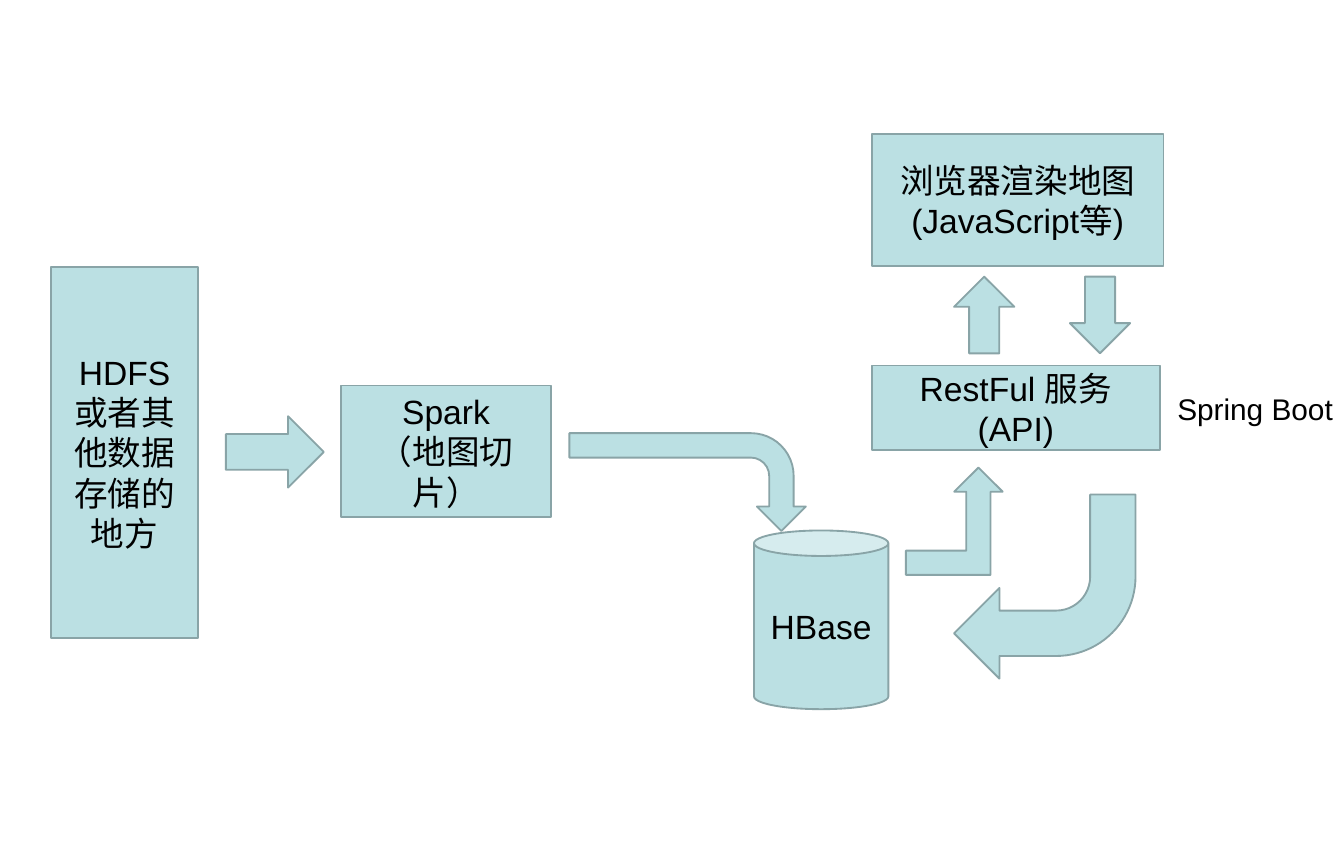
from dataclasses import dataclass

from pptx import Presentation
from pptx.dml.color import RGBColor
from pptx.enum.shapes import MSO_SHAPE as Preset
from pptx.enum.text import MSO_ANCHOR as Anchor, MSO_AUTO_SIZE as AutoSize, PP_ALIGN as Align
from pptx.util import Cm, Pt


@dataclass(frozen=True)
class Theme:
    """Hold the colours, font and sizes of the diagram."""
    fill: RGBColor = RGBColor(0xBB, 0xE0, 0xE3)
    line: RGBColor = RGBColor(0x89, 0xA4, 0xA7)
    text: RGBColor = RGBColor(0x00, 0x00, 0x00)
    font: str = "Arial"
    node_size: int = Pt(18)
    label_size: int = Pt(16)
    line_width: int = Pt(1)


THEME = Theme()


def write_text(box, lines, size, align):
    """Write one paragraph per line and format its runs."""
    frame = box.text_frame
    frame.text = "\n".join(lines)
    for para in frame.paragraphs:
        para.alignment = align
        for span in para.runs:
            span.font.name = THEME.font
            span.font.size = size
            span.font.color.rgb = THEME.text


def add_figure(page, preset, left, top, width, height):
    """Add a preset shape in the diagram's fill and outline."""
    figure = page.shapes.add_shape(preset, Cm(left), Cm(top), Cm(width), Cm(height))
    figure.shadow.inherit = False
    figure.fill.solid()
    figure.fill.fore_color.rgb = THEME.fill
    figure.line.color.rgb = THEME.line
    figure.line.width = THEME.line_width
    return figure


def add_node(page, preset, place, *lines):
    """Add a component with centred text."""
    node = add_figure(page, preset, *place)
    node.text_frame.word_wrap = True
    node.text_frame.vertical_anchor = Anchor.MIDDLE
    write_text(node, lines, THEME.node_size, Align.CENTER)
    return node


def add_arrow(page, preset, place, rotation=0):
    """Add a block arrow turned by the given degrees."""
    arrow = add_figure(page, preset, *place)
    arrow.rotation = rotation


def add_label(page, place, text):
    """Add a free label on one line."""
    label = page.shapes.add_textbox(*(Cm(length) for length in place))
    label.text_frame.word_wrap = False
    label.text_frame.auto_size = AutoSize.SHAPE_TO_FIT_TEXT
    write_text(label, [text], THEME.label_size, Align.LEFT)


def main():
    """Build the map tile service diagram."""
    deck = Presentation()
    deck.slide_width, deck.slide_height = Cm(25.4), Cm(15.9)
    page = deck.slides.add_slide(deck.slide_layouts[6])

    add_node(page, Preset.RECTANGLE, (0.97, 5.05, 2.77, 7.01), "HDFS", "或者其他数据存储的地方")
    add_node(page, Preset.RECTANGLE, (6.45, 7.29, 3.96, 2.49), "Spark", "（地图切片）")
    database = add_node(page, Preset.CAN, (14.25, 10.03, 2.54, 3.38), "HBase")
    database.adjustments[0] = 0.19
    add_node(page, Preset.RECTANGLE, (16.48, 2.54, 5.51, 2.49), "浏览器渲染地图", "(JavaScript等)")
    add_arrow(page, Preset.RIGHT_ARROW, (4.27, 7.87, 1.85, 1.35))
    add_arrow(page, Preset.BENT_ARROW, (12.07, 6.88, 1.85, 4.47), 90)
    add_node(page, Preset.RECTANGLE, (16.48, 6.91, 5.44, 1.6), "RestFul 服务", "(API)")
    add_arrow(page, Preset.DOWN_ARROW, (20.22, 5.23, 1.14, 1.45))
    add_arrow(page, Preset.BENT_ARROW, (18.03, 9.35, 3.43, 3.48), 180)
    add_arrow(page, Preset.BENT_UP_ARROW, (17.12, 8.84, 1.83, 2.03))
    add_arrow(page, Preset.DOWN_ARROW, (18.03, 5.23, 1.14, 1.45), 180)
    add_label(page, (22, 7.26, 3.45, 0.94), "Spring Boot")

    deck.save("out.pptx")


if __name__ == "__main__":
    main()
